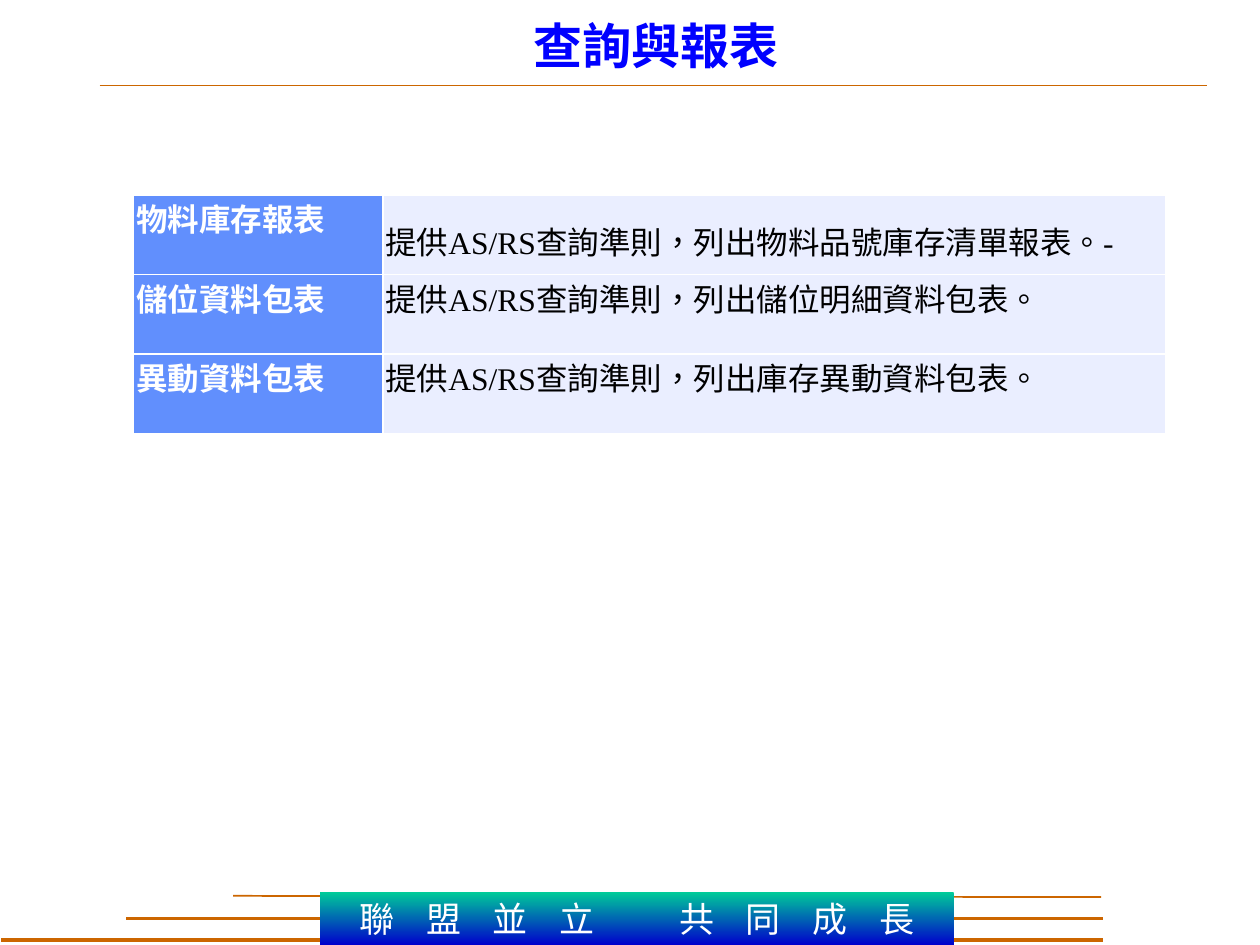
from lxml import etree
from pptx import Presentation
from pptx.dml.color import RGBColor
from pptx.enum.shapes import MSO_CONNECTOR, MSO_SHAPE
from pptx.enum.text import MSO_ANCHOR, PP_ALIGN
from pptx.oxml.ns import qn
from pptx.util import Inches, Pt

LINE, RECT = MSO_CONNECTOR.STRAIGHT, MSO_SHAPE.RECTANGLE
MID, TOP = MSO_ANCHOR.MIDDLE, MSO_ANCHOR.TOP
LEFT, MIDDLE = PP_ALIGN.LEFT, PP_ALIGN.CENTER
SERIF, SANS = "Times New Roman", "Noto Sans CJK SC"

TITLE = "查詢與報表"
ROWS = [
    ("物料庫存報表", "提供AS/RS查詢準則，列出物料品號庫存清單報表。-"),
    ("儲位資料包表", "提供AS/RS查詢準則，列出儲位明細資料包表。"),
    ("異動資料包表", "提供AS/RS查詢準則，列出庫存異動資料包表。"),
]
MOTTO = [("聯盟並立", 18), (" ", 26), ("共同成", 18), ("長", 0)]
RULES = [
    (0.79, 0.68, 9.58, 0.68, 0.75),
    (1, 7.29, 8.75, 7.29, 1.75),
    (1.85, 7.11, 8.74, 7.12, 1),
    (0.01, 7.46, 8.75, 7.46, 2.5),
]
COLS = [
    (1.98, "618FFD", {"size": Pt(18), "bold": True, "name": SERIF}, "FFFFFF"),
    (6.21, "EAEEFF", {"size": Pt(18), "bold": False, "name": SERIF}, "000000"),
]
HIGH = 0.63
INSETS = {"margin_left": Inches(0.02), "margin_right": Inches(0.02),
          "margin_top": 0, "margin_bottom": 0, "vertical_anchor": TOP}
FRAME = {"margin_left": 0, "margin_right": 0, "margin_top": 0,
         "margin_bottom": 0, "vertical_anchor": MID, "word_wrap": False}


def apply(item, values):
    """Set each named attribute."""
    for name, value in values.items():
        setattr(item, name, value)


def paint(fmt, code):
    """Give a fill or font a solid colour."""
    if hasattr(fmt, "solid"):
        fmt.solid()
        fmt = fmt.fore_color
    else:
        fmt = fmt.color
    fmt.rgb = RGBColor.from_string(code)


def write(par, text, look, code, gap=0):
    """Add a run of Chinese text with optional letter spacing."""
    run = par.add_run()
    run.text = text
    apply(run.font, look)
    paint(run.font, code)
    props = run.font._element
    props.set("lang", "zh-TW")
    if gap:
        props.set("spc", str(gap * 100))
    east = etree.Element(qn("a:ea"), typeface=SANS)
    props.find(qn("a:latin")).addnext(east)


def edge(cell, code, width):
    """Draw the four borders of a cell."""
    props = cell._tc.get_or_add_tcPr()
    for spot, side in enumerate("LRTB"):
        line = etree.Element(qn(f"a:ln{side}"), w=str(Pt(width)))
        fill = etree.SubElement(line, qn("a:solidFill"))
        etree.SubElement(fill, qn("a:srgbClr"), val=code)
        props.insert(spot, line)


def draw_rules(shapes):
    """Draw the orange rules."""
    for x, y, right, low, width in RULES:
        rule = shapes.add_connector(LINE, *map(Inches, (x, y, right, low)))
        paint(rule.line.fill, "CC6600")
        rule.line.width = Pt(width)
        etree.SubElement(rule._element.spPr, qn("a:effectLst"))


def draw_motto(shapes):
    """Draw the gradient banner with its spaced motto."""
    bar = shapes.add_shape(RECT, *map(Inches, (2.54, 7.08, 5.03, 0.42)))
    bar.shadow.inherit = False
    bar.line.fill.background()
    bar.fill.gradient()
    bar.fill.gradient_angle = 270
    for stop, code in zip(bar.fill.gradient_stops, ("00CC99", "0000CC")):
        stop.color.rgb = RGBColor.from_string(code)
    apply(bar.text_frame, FRAME)
    par = bar.text_frame.paragraphs[0]
    par.alignment = MIDDLE
    for text, gap in MOTTO:
        write(par, text, {"size": Pt(20), "name": SERIF}, "FFFFFF", gap)


def draw_title(shape):
    """Place and write the title."""
    apply(shape, {"left": Inches(3.32), "top": Inches(0.04),
                  "width": Inches(3.77), "height": Inches(0.64)})
    apply(shape.text_frame, {"vertical_anchor": MID, "word_wrap": True})
    par = shape.text_frame.paragraphs[0]
    par.alignment = MIDDLE
    write(par, TITLE, {"size": Pt(28), "bold": True, "name": SANS}, "0000FF")


def draw_table(shapes):
    """Build the table of reports."""
    wide = sum(col[0] for col in COLS)
    box = map(Inches, (1.06, 1.55, wide, HIGH * len(ROWS)))
    table = shapes.add_table(len(ROWS), len(COLS), *box).table
    apply(table, {"first_row": False, "horz_banding": False})
    for y, texts in enumerate(ROWS):
        table.rows[y].height = Inches(HIGH)
        for x, (width, back, look, ink) in enumerate(COLS):
            table.columns[x].width = Inches(width)
            cell = table.cell(y, x)
            apply(cell, INSETS)
            edge(cell, "FFFFFF", 1)
            paint(cell.fill, back)
            par = cell.text_frame.paragraphs[0]
            par.alignment = LEFT
            if (y, x) == (0, 1):
                par.line_spacing = 1.5
            write(par, texts[x], look, ink)


def main():
    """Build and save the slide."""
    deck = Presentation()
    apply(deck, {"slide_width": Inches(10), "slide_height": Inches(7.5)})
    slide = deck.slides.add_slide(deck.slide_layouts[5])
    draw_rules(slide.shapes)
    draw_motto(slide.shapes)
    draw_title(slide.shapes.title)
    draw_table(slide.shapes)
    deck.save("out.pptx")


if __name__ == "__main__":
    main()
